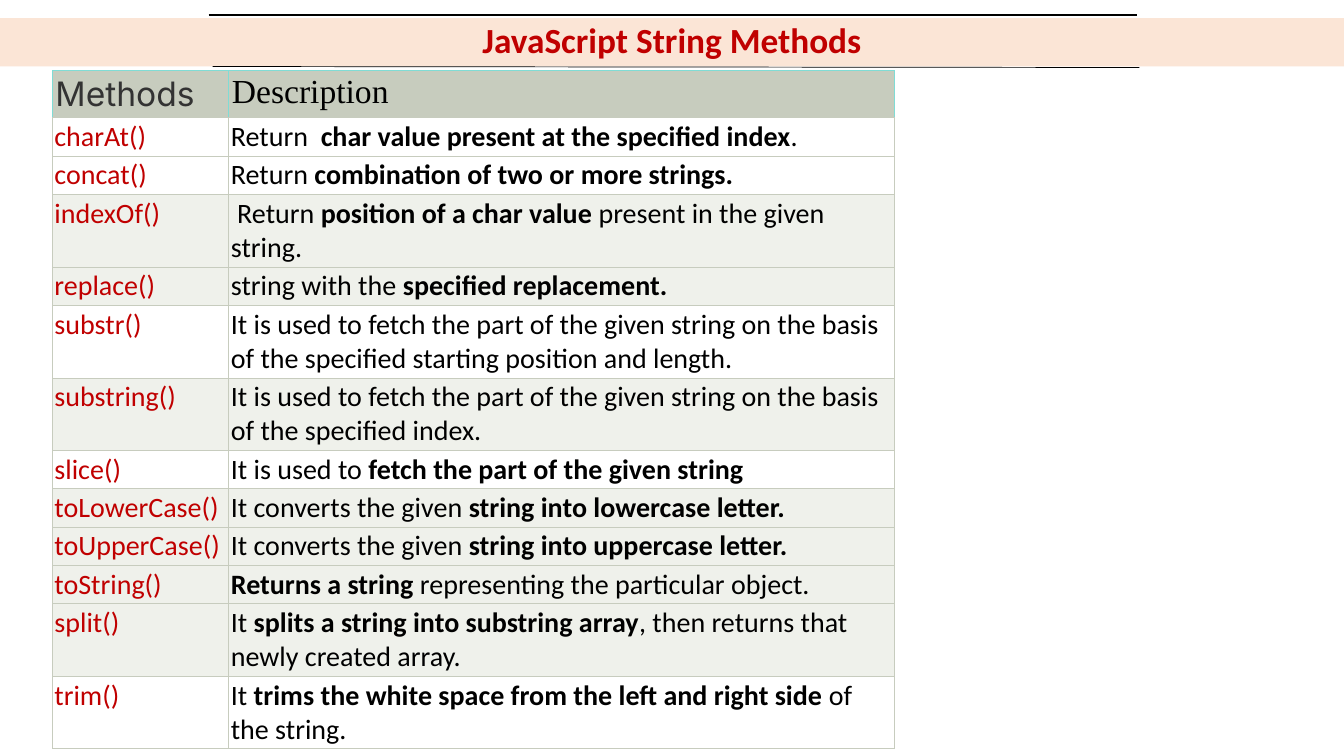
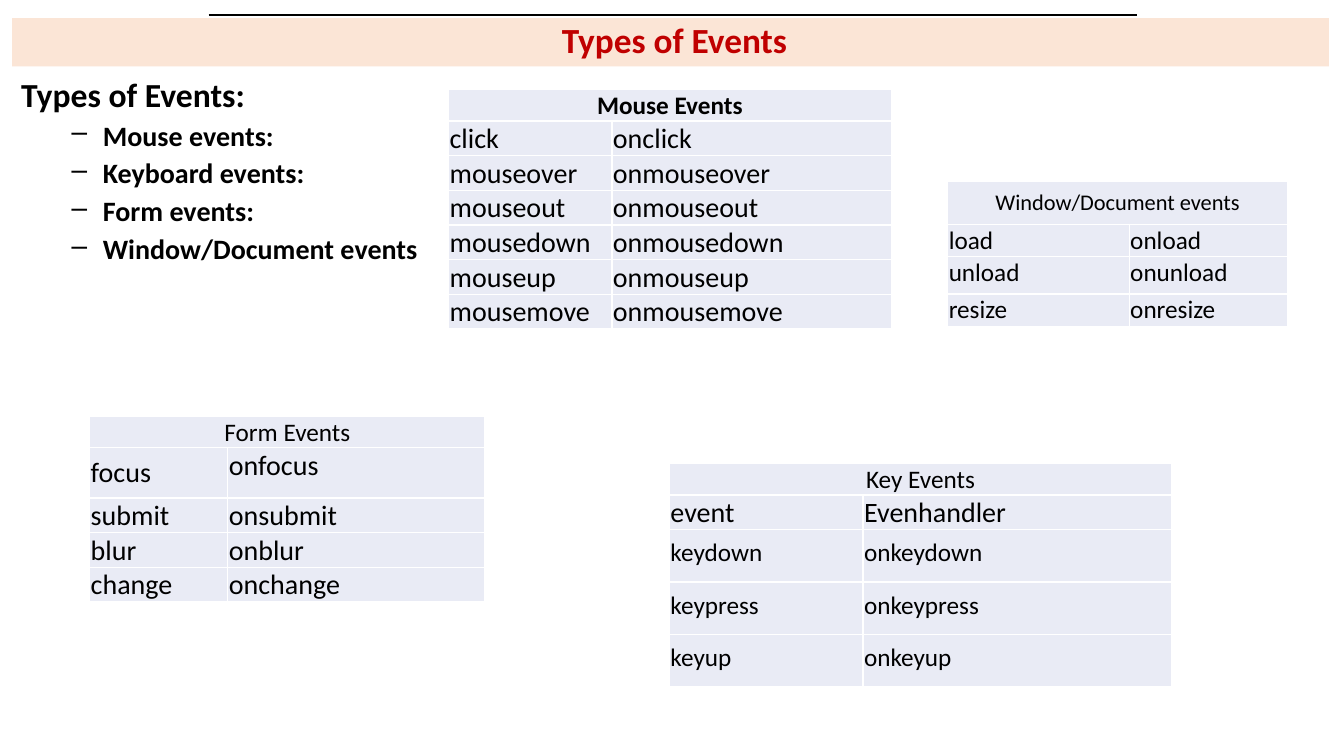
from dataclasses import dataclass, replace
from typing import Optional

from lxml.etree import SubElement
from pptx import Presentation
from pptx.dml.color import RGBColor
from pptx.enum.shapes import MSO_CONNECTOR as Connector
from pptx.enum.shapes import MSO_SHAPE as Preset
from pptx.enum.text import MSO_ANCHOR as Anchor
from pptx.enum.text import PP_ALIGN as Align
from pptx.oxml.ns import qn
from pptx.util import Pt

PX = 9144
SLIDE_WIDTH, SLIDE_HEIGHT = 1333, 750

BLACK = RGBColor(0x00, 0x00, 0x00)
WHITE = RGBColor(0xFF, 0xFF, 0xFF)
RED = RGBColor(0xC0, 0x00, 0x00)
CHARCOAL = RGBColor(0x33, 0x33, 0x33)
PEACH = RGBColor(0xFB, 0xE5, 0xD6)
SAGE = RGBColor(0xC7, 0xCC, 0xBE)
PALE_SAGE = RGBColor(0xEF, 0xF1, 0xEB)
AQUA = RGBColor(0x80, 0xDC, 0xD5)
LAVENDER = RGBColor(0xE9, 0xEB, 0xF5)

TIGHT = (1, 1, 1, 0)
ROOMY = (1, 8, 1, 8)
SIDES = ("lnL", "lnR", "lnT", "lnB")


@dataclass(frozen=True)
class Cell:
    text: str
    fill: RGBColor = LAVENDER
    color: RGBColor = BLACK
    font: str = "Calibri"
    size: int = 20
    align: Align = Align.LEFT
    anchor: Anchor = Anchor.TOP
    space_before: int = 0
    insets: tuple[int, int, int, int] = TIGHT
    borders: tuple[RGBColor, ...] = (WHITE,) * 4
    border_width: float = 1


@dataclass(frozen=True)
class Row:
    height: int
    cells: tuple[Cell, ...]


@dataclass(frozen=True)
class Table:
    left: int
    top: int
    columns: tuple[int, ...]
    rows: list[Row]


@dataclass(frozen=True)
class Method:
    name: str
    description: str
    fill: RGBColor = PALE_SAGE
    height: int = 38


METHODS = [
    Method("charAt()", "Return  *char value present at the specified index*.", WHITE),
    Method("concat()", "Return *combination of two or more strings.*", WHITE),
    Method("indexOf()", " Return *position of a char value *present in the given string.", height=72),
    Method("replace()", "string with the *specified replacement.*"),
    Method("substr()", "It is used to fetch the part of the given string on the basis "
           "of the specified starting position and length.", WHITE, 72),
    Method("substring()", "It is used to fetch the part of the given string on the basis "
           "of the specified index.", height=72),
    Method("slice()", "It is used to *fetch the part of the given string*", WHITE),
    Method("toLowerCase()", "It converts the given *string into lowercase letter.*"),
    Method("toUpperCase()", "It converts the given *string into uppercase letter.*"),
    Method("toString()", "*Returns a string *representing the particular object."),
    Method("split()", "It *splits a string into substring array*, then returns that "
           "newly created array.", height=72),
    Method("trim()", "It *trims the white space from the left and right side* of the string.", WHITE, 72),
]


def px(*lengths: int) -> list[int]:
    return [length * PX for length in lengths]


def set_all(target, values: dict) -> None:
    for name, value in values.items():
        setattr(target, name, value)


def add_text(paragraph, text: str, size: float, color: RGBColor,
             font: str = "Calibri", bold: bool = False) -> None:
    for index, part in enumerate(text.split("*")):
        if part:
            run = paragraph.add_run()
            run.text = part
            set_all(run.font, {"name": font, "size": Pt(size), "bold": bold or index % 2 == 1})
            run.font.color.rgb = color


def add_line(slide, start: tuple[int, int], end: tuple[int, int], width: float) -> None:
    line = slide.shapes.add_connector(Connector.STRAIGHT, *px(*start, *end))
    line.line.color.rgb = BLACK
    line.line.width = Pt(width)
    SubElement(line._element.spPr, qn("a:effectLst"))


def add_title(slide, text: str, left: int, width: int) -> None:
    band = slide.shapes.add_shape(Preset.RECTANGLE, *px(left, 18, width, 48))
    band.shadow.inherit = False
    band.fill.solid()
    band.fill.fore_color.rgb = PEACH
    band.line.fill.background()
    band.text_frame.vertical_anchor = Anchor.MIDDLE
    paragraph = band.text_frame.paragraphs[0]
    set_all(paragraph, {"alignment": Align.CENTER, "line_spacing": 0.9})
    add_text(paragraph, text, 25.2, RED, bold=True)
    add_line(slide, (207, 15), (1128, 15), 0.96)


def add_borders(cell, colors: tuple[RGBColor, ...], width: float) -> None:
    properties = cell._tc.get_or_add_tcPr()
    for index, (side, color) in enumerate(zip(SIDES, colors)):
        border = SubElement(properties, qn(f"a:{side}"), w=str(Pt(width)))
        fill = SubElement(border, qn("a:solidFill"))
        SubElement(fill, qn("a:srgbClr"), val=str(color))
        properties.insert(index, border)


def format_cell(target, cell: Cell) -> None:
    left, top, right, bottom = px(*cell.insets)
    set_all(target, {"margin_left": left, "margin_top": top, "margin_right": right,
                     "margin_bottom": bottom, "vertical_anchor": cell.anchor})
    target.fill.solid()
    target.fill.fore_color.rgb = cell.fill
    add_borders(target, cell.borders, cell.border_width)
    paragraph = target.text_frame.paragraphs[0]
    set_all(paragraph, {"alignment": cell.align, "space_before": Pt(cell.space_before)})
    add_text(paragraph, cell.text, cell.size, cell.color, cell.font)


def add_table(slide, layout: Table) -> None:
    height = sum(row.height for row in layout.rows)
    frame = slide.shapes.add_table(len(layout.rows), len(layout.columns),
                                   *px(layout.left, layout.top, sum(layout.columns), height))
    table = frame.table
    set_all(table, {"first_row": False, "horz_banding": False})
    for column, width in zip(table.columns, layout.columns):
        column.width = width * PX
    for index, row in enumerate(layout.rows):
        table.rows[index].height = row.height * PX
        if len(row.cells) == 1:
            table.cell(index, 0).merge(table.cell(index, len(layout.columns) - 1))
        for position, cell in enumerate(row.cells):
            format_cell(table.cell(index, position), cell)


def heading(text: str, height: int = 31, size: int = 18,
            insets: tuple[int, int, int, int] = TIGHT) -> Row:
    return Row(height, (Cell(text, size=size, align=Align.CENTER, anchor=Anchor.BOTTOM, insets=insets),))


def event(name: str, height: int = 34, handler: Optional[str] = None, size: int = 20,
          insets: tuple[int, int, int, int] = TIGHT, align: Align = Align.JUSTIFY) -> Row:
    cell = Cell(name, size=size, insets=insets, align=align)
    return Row(height, (cell, replace(cell, text=handler or f"on{name}")))


def focus_event() -> Row:
    name, handler = event("focus").cells
    return Row(50, (replace(name, insets=ROOMY), handler))


def method_rows() -> list[Row]:
    header = Cell("Methods", SAGE, CHARCOAL, "Inter", 24, Align.JUSTIFY, insets=(3, 3, 3, 3),
                  borders=(AQUA, AQUA, AQUA, SAGE), border_width=0.75)
    rows = [Row(47, (header, replace(header, text="Description", color=BLACK,
                                     font="Times New Roman", align=Align.LEFT)))]
    for method in METHODS:
        name = Cell(method.name, method.fill, RED, space_before=3, insets=(2, 2, 2, 2),
                    borders=(SAGE,) * 4, border_width=0.75)
        rows.append(Row(method.height, (name, replace(name, text=method.description, color=BLACK))))
    return rows


def add_event_list(slide) -> None:
    box = slide.shapes.add_textbox(*px(12, 69, 940, 276))
    frame = box.text_frame
    left, top = px(9, 4)
    set_all(frame, {"word_wrap": True, "margin_left": left, "margin_right": left,
                    "margin_top": top, "margin_bottom": top})
    paragraph = frame.paragraphs[0]
    paragraph.space_before = Pt(3)
    add_text(paragraph, "Types of Events:", 24, BLACK, bold=True)
    for text in ("Mouse events:", "Keyboard events:", "Form events:", "Window/Document events"):
        paragraph = frame.add_paragraph()
        set_all(paragraph, {"level": 1, "space_before": Pt(3)})
        properties = paragraph._p.get_or_add_pPr()
        properties.set("marL", str(81 * PX))
        properties.set("indent", str(-31 * PX))
        SubElement(properties, qn("a:buChar"), char="–")
        add_text(paragraph, text, 20, BLACK, bold=True)


def build_methods(slide) -> None:
    add_title(slide, "JavaScript String Methods", 0, SLIDE_WIDTH)
    add_line(slide, (211, 66), (1130, 67), 0.5)
    add_table(slide, Table(52, 70, (175, 660), method_rows()))


def build_events(slide) -> None:
    add_title(slide, " Types of Events", 12, 1306)
    add_event_list(slide)
    mouse = ("click", "mouseover", "mouseout", "mousedown", "mouseup", "mousemove")
    keys = ("keydown", "keypress", "keyup")
    window = (("load", 32), ("unload", 37), ("resize", 32))
    tables = [
        Table(445, 89, (162, 277), [heading("*Mouse Events*"), *map(event, mouse)]),
        Table(664, 460, (192, 306), [
            heading("Key Events"), event("event", handler="Evenhandler"),
            *(event(key, 52, size=18, insets=ROOMY, align=Align.LEFT) for key in keys)]),
        Table(940, 180, (180, 157), [
            heading("Window/Document events", 42, 16, ROOMY),
            *(event(name, height, size=18) for name, height in window)]),
        Table(89, 413, (137, 255), [
            heading("Form Events"), focus_event(), *map(event, ("submit", "blur", "change"))]),
    ]
    for table in tables:
        add_table(slide, table)


def main() -> None:
    presentation = Presentation()
    set_all(presentation, {"slide_width": SLIDE_WIDTH * PX, "slide_height": SLIDE_HEIGHT * PX})
    for build in (build_methods, build_events):
        build(presentation.slides.add_slide(presentation.slide_layouts[6]))
    presentation.save("out.pptx")


if __name__ == "__main__":
    main()
